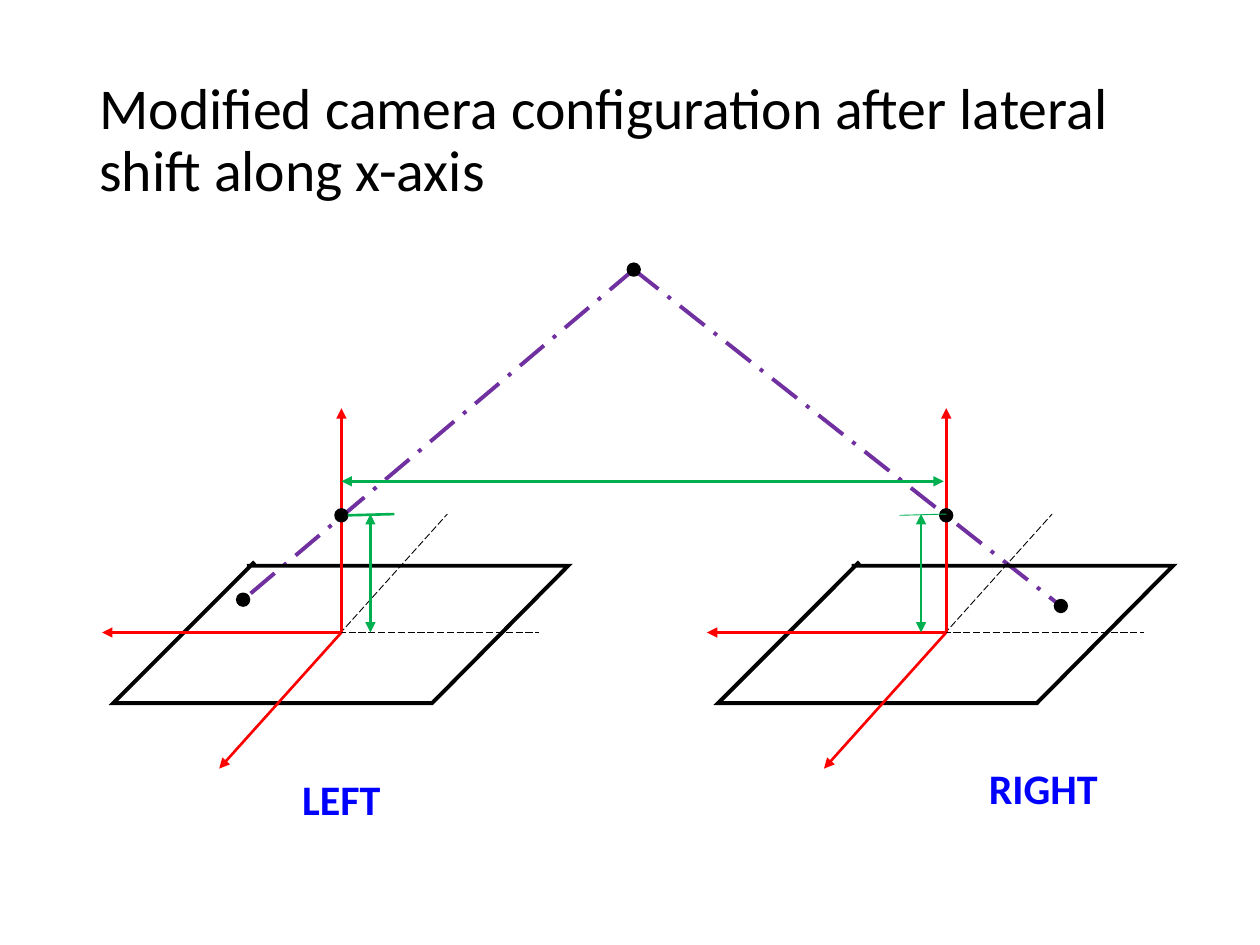
from dataclasses import dataclass

from lxml import etree
from pptx import Presentation
from pptx import util as u
from pptx.dml.color import RGBColor
from pptx.enum import dml, shapes, text
from pptx.oxml import ns

Point = tuple[float, float]

deck = Presentation()
deck.slide_width, deck.slide_height = u.Inches(10), u.Inches(7.5)
page = deck.slides.add_slide(deck.slide_layouts[6])

# Square grid: 100 columns by 75 rows
CELL = deck.slide_width // 100
BLACK, RED, GREEN, PURPLE, BLUE = "000000", "FF0000", "00B050", "7030A0", "0000FF"
DOT_SIZE = 1


@dataclass
class Camera:
    label: str
    label_box: tuple[float, float, float, float]
    origin: Point
    image_point: Point
    tick: tuple[float, float]  # columns from the origin
    tick_width: float
    focal_offset: float

    def at(self, dx: float, dy: float) -> Point:
        return self.origin[0] + dx, self.origin[1] + dy


CAMERAS = [
    Camera("LEFT", (23, 60.9, 8.3, 5), (27.1, 50.2), (19.3, 47.6), (0.5, 4.2), 1.5, 2.3),
    Camera("RIGHT", (77.5, 60, 10.7, 5), (75.1, 50.2), (84.2, 48.1), (-3.7, 0), 0.5, -2),
]
WORLD_POINT = (50.3, 21.4)
PLANE = [(-6.9, -5.6), (-18.1, 5.6), (7.2, 5.6), (18, -5.3), (-7.5, -5.3)]
AXIS_TIPS = [(0, -17.8), (-19, 0), (-9.7, 10.8)]
GUIDES = [((-15.8, 0), (15.7, 0)), ((-8.5, 9.4), (8.4, -9.4))]
PINHOLE = (0, -9.3)


def grid(*cells: float) -> list[int]:
    return [round(cell * CELL) for cell in cells]


def colour(code: str) -> RGBColor:
    return RGBColor.from_string(code)


def line(start: Point, end: Point, code: str, width: float,
         dash: dml.MSO_LINE | None = None, arrows: tuple[str, ...] = ()) -> None:
    connector = page.shapes.add_connector(
        shapes.MSO_CONNECTOR.STRAIGHT, *grid(*start, *end))
    connector.line.color.rgb = colour(code)
    connector.line.width = u.Pt(width)
    if dash is not None:
        connector.line.dash_style = dash
    for arrow in arrows:
        etree.SubElement(connector.line._get_or_add_ln(), ns.qn(f"a:{arrow}"), type="triangle")
    etree.SubElement(connector._element.spPr, ns.qn("a:effectLst"))


def dot(centre: Point) -> None:
    left, top = (value - DOT_SIZE / 2 for value in centre)
    circle = page.shapes.add_shape(
        shapes.MSO_SHAPE.OVAL, *grid(left, top, DOT_SIZE, DOT_SIZE))
    circle.shadow.inherit = False
    circle.fill.solid()
    circle.fill.fore_color.rgb = circle.line.color.rgb = colour(BLACK)
    circle.line.width = u.Pt(1)


def outline(points: list[Point]) -> None:
    first, *rest = [tuple(grid(*point)) for point in points]
    builder = page.shapes.build_freeform(*first)
    builder.add_line_segments(rest, close=False)
    plane = builder.convert_to_shape()
    plane.shadow.inherit = False
    plane.fill.background()
    plane.line.color.rgb = colour(BLACK)
    plane.line.width = u.Pt(2.25)
    etree.SubElement(plane.line._get_or_add_ln(), ns.qn("a:miter"), lim="800000")


def write(words: str, area: tuple[float, float, float, float], size: float,
          code: str, bold: bool = False, wrap: bool = False) -> None:
    box = page.shapes.add_textbox(*grid(*area))
    frame = box.text_frame
    frame.word_wrap = wrap
    frame.text = words
    para = frame.paragraphs[0]
    if wrap:
        frame.vertical_anchor = text.MSO_ANCHOR.MIDDLE
        para.line_spacing = 0.9
    else:
        frame.auto_size = text.MSO_AUTO_SIZE.SHAPE_TO_FIT_TEXT
    span = para.runs[0]
    span.font.name, span.font.size, span.font.bold = "Calibri", u.Pt(size), bold
    span.font.color.rgb = colour(code)


def draw_camera(camera: Camera) -> None:
    # Image plane and its dashed centre lines
    outline([camera.at(*corner) for corner in PLANE])
    for start, end in GUIDES:
        line(camera.at(*start), camera.at(*end), BLACK, 0.5, dml.MSO_LINE.LONG_DASH)
    # Coordinate axes
    for tip in AXIS_TIPS:
        line(camera.origin, camera.at(*tip), RED, 1.5, arrows=("tailEnd",))
    # Pinhole and focal length
    dot(camera.at(*PINHOLE))
    start, end = camera.tick
    line(camera.at(start, -9.3), camera.at(end, -9.4), GREEN, camera.tick_width)
    line(camera.at(camera.focal_offset, -9.4), camera.at(camera.focal_offset, 0),
         GREEN, 1.5, arrows=("headEnd", "tailEnd"))
    write(camera.label, camera.label_box, 24, BLUE, bold=True)


# Rays from the world point, behind everything else
for camera in CAMERAS:
    line(WORLD_POINT, camera.image_point, PURPLE, 2.25, dml.MSO_LINE.LONG_DASH_DOT)

write("Modified camera configuration after lateral shift along x-axis",
      (6.9, 4, 86.2, 14.5), 33, BLACK, wrap=True)

for camera in CAMERAS:
    draw_camera(camera)

# Baseline between the cameras
line((27.1, 38.2), (74.9, 38.2), GREEN, 1.5, arrows=("headEnd", "tailEnd"))

# World point and its two images
for point in [WORLD_POINT, *(camera.image_point for camera in CAMERAS)]:
    dot(point)

deck.save("out.pptx")
